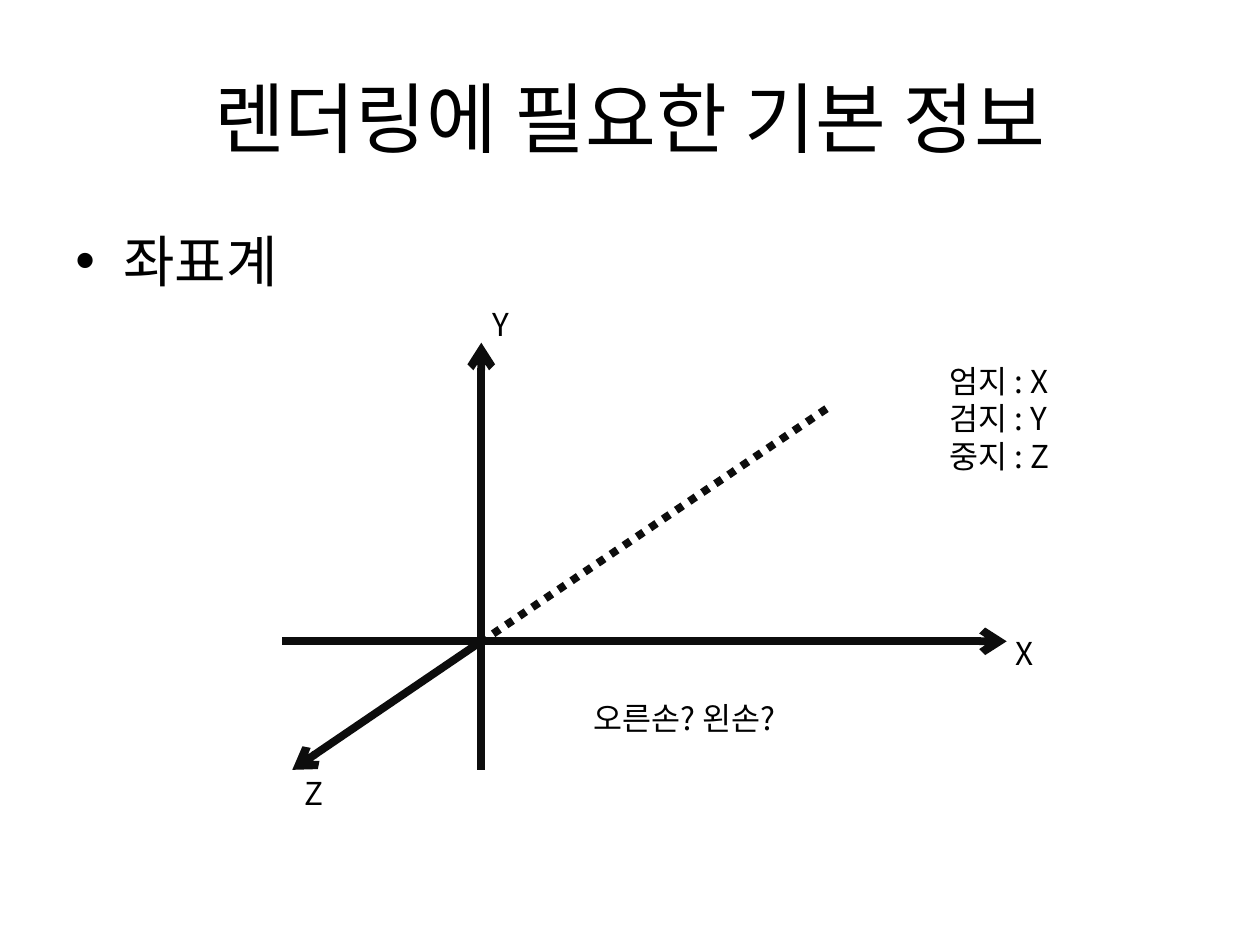
from dataclasses import dataclass

import pptx
import pptx.dml.color
import pptx.enum.dml
import pptx.enum.shapes
import pptx.enum.text
import pptx.oxml
import pptx.oxml.ns
import pptx.slide
import pptx.text.text
import pptx.util
from pptx.util import Inches

ANCHOR = pptx.enum.text.MSO_ANCHOR
ALIGN = pptx.enum.text.PP_ALIGN
AUTO_SIZE = pptx.enum.text.MSO_AUTO_SIZE


@dataclass(frozen=True)
class Theme:
    font: str = "Noto Sans CJK KR"
    text: str = "000000"
    axis: str = "0D0D0D"
    background: str = "FFFFFF"
    title: float = 44
    body: float = 32
    label: float = 18
    axis_width: float = 4.5


@dataclass(frozen=True)
class Text:
    """A text box; a vertical tab in a paragraph is a line break."""
    paragraphs: tuple[str, ...]
    left: float
    top: float
    width: float
    height: float
    size: float


@dataclass(frozen=True)
class Axis:
    start: tuple[float, float]
    end: tuple[float, float]
    dotted: bool = False


THEME = Theme()

TITLE = Text(("렌더링에 필요한 기본 정보",), 0.5, 0.3, 9, 1.25, THEME.title)
BODY = Text(("좌표계",), 0.5, 1.75, 9, 4.95, THEME.body)

AXES = (
    Axis((2.24, 5.09), (7.99, 5.09)),
    Axis((3.82, 6.11), (3.82, 2.72)),
    Axis((3.81, 5.1), (6.58, 3.23), dotted=True),
    Axis((3.82, 5.09), (2.32, 6.11)),
)

LABELS = (
    Text(("X",), 7.96, 4.98, 0.43, 0.4, THEME.label),
    Text(("Z",), 2.32, 6.09, 0.43, 0.4, THEME.label),
    Text(("Y",), 3.81, 2.37, 0.43, 0.4, THEME.label),
    Text(("오른손? 왼손?",), 4.61, 5.5, 2.05, 0.4, THEME.label),
    Text(("엄지 : X\v검지 : Y", "중지 : Z"), 7.44, 2.82, 2.14, 1.01, THEME.label),
)


def rgb(value: str) -> pptx.dml.color.RGBColor:
    return pptx.dml.color.RGBColor.from_string(value)


def add_xml(parent, tag: str, **attributes: str) -> None:
    """Append an empty DrawingML element."""
    element = pptx.oxml.parse_xml(f"<a:{tag} {pptx.oxml.ns.nsdecls('a')}/>")
    for name, value in attributes.items():
        element.set(name, value)
    parent.append(element)


def add_text(s: pptx.slide.Slide, text: Text, **frame: object) -> pptx.text.text.TextFrame:
    sp = s.shapes.add_textbox(
        Inches(text.left), Inches(text.top), Inches(text.width), Inches(text.height)
    )
    tf = sp.text_frame
    for name, value in {"word_wrap": True, **frame}.items():
        setattr(tf, name, value)
    for i, content in enumerate(text.paragraphs):
        p = tf.paragraphs[0] if i == 0 else tf.add_paragraph()
        p.text = content
        for r in p.runs:
            for name, value in {"size": pptx.util.Pt(text.size), "name": THEME.font}.items():
                setattr(r.font, name, value)
            r.font.color.rgb = rgb(THEME.text)
            add_xml(r.font._element, "ea", typeface=THEME.font)
    return tf


def add_bullet(p: pptx.text.text._Paragraph, size: float) -> None:
    p.space_before = pptx.util.Pt(size * 0.2)
    props = p._p.get_or_add_pPr()
    indent = Inches(0.38)
    props.set("marL", str(indent))
    props.set("indent", str(-indent))
    add_xml(props, "buFont", typeface="Arial")
    add_xml(props, "buChar", char="•")


def add_axis(s: pptx.slide.Slide, axis: Axis) -> None:
    ends = [Inches(v) for v in (*axis.start, *axis.end)]
    sp = s.shapes.add_connector(pptx.enum.shapes.MSO_CONNECTOR.STRAIGHT, *ends)
    sp.line.color.rgb = rgb(THEME.axis)
    sp.line.width = pptx.util.Pt(THEME.axis_width)
    if axis.dotted:
        sp.line.dash_style = pptx.enum.dml.MSO_LINE.ROUND_DOT
    else:
        add_xml(sp.line._get_or_add_ln(), "tailEnd", type="arrow")
    add_xml(sp._element.spPr, "effectLst")


def main() -> None:
    prs = pptx.Presentation()
    prs.slide_width, prs.slide_height = Inches(10), Inches(7.5)
    s = prs.slides.add_slide(prs.slide_layouts[6])
    s.background.fill.solid()
    s.background.fill.fore_color.rgb = rgb(THEME.background)

    # Title and bullet
    tf = add_text(s, TITLE, vertical_anchor=ANCHOR.MIDDLE)
    tf.paragraphs[0].alignment = ALIGN.CENTER
    tf = add_text(s, BODY)
    add_bullet(tf.paragraphs[0], BODY.size)

    # Coordinate axes
    for axis in AXES:
        add_axis(s, axis)

    # Axis names and hand rule
    for label in LABELS:
        add_text(s, label, auto_size=AUTO_SIZE.SHAPE_TO_FIT_TEXT)

    prs.save("out.pptx")


if __name__ == "__main__":
    main()
